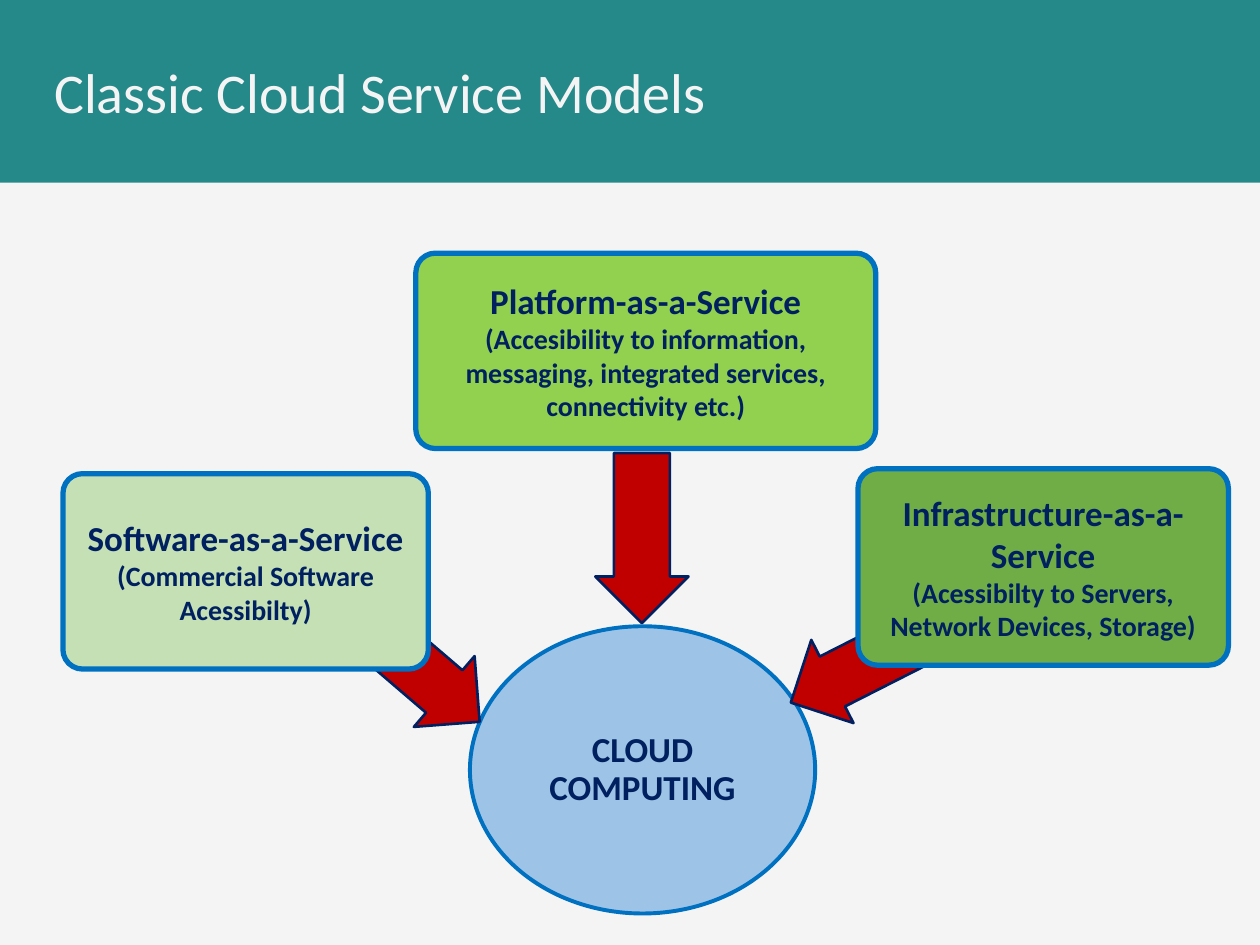
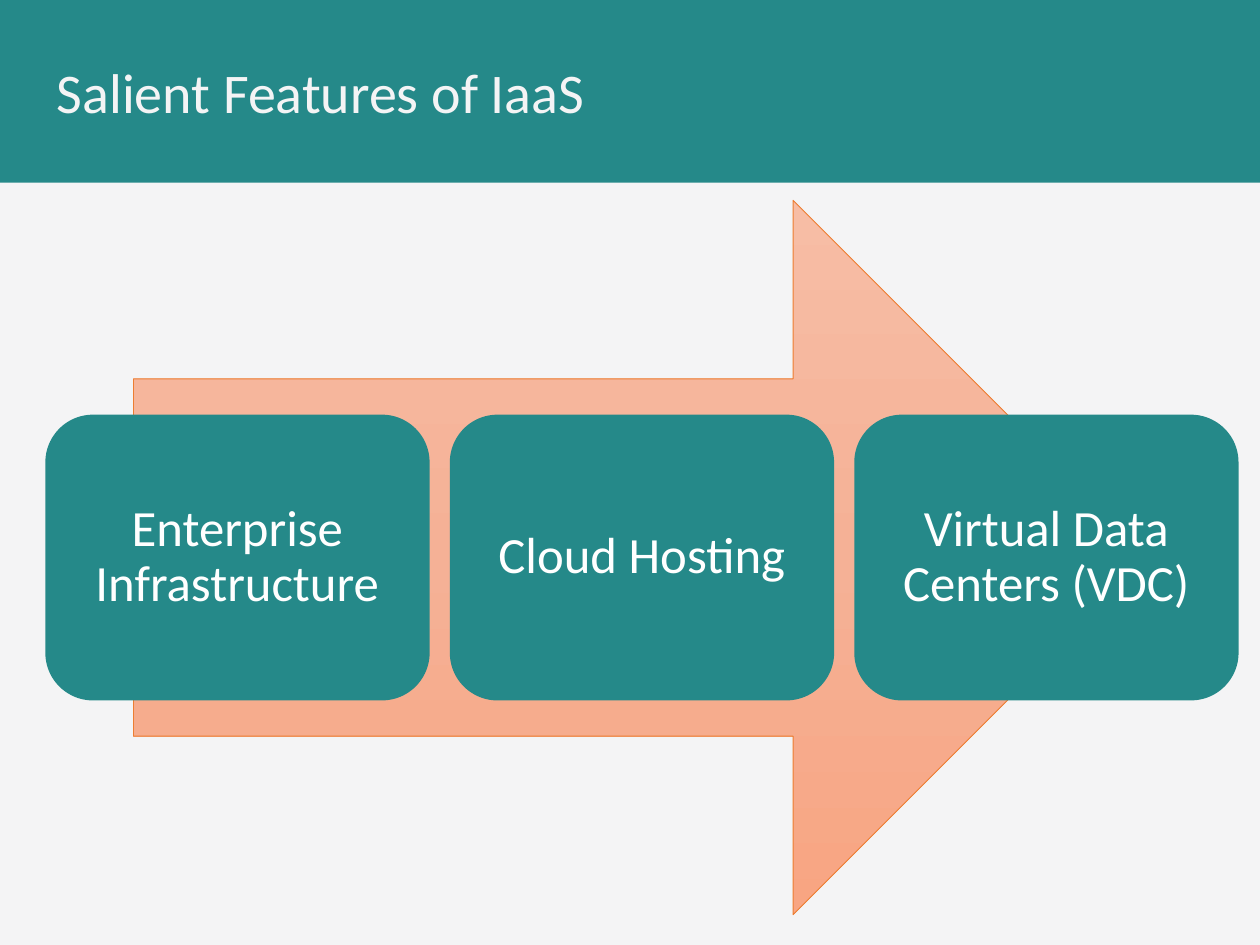
from copy import deepcopy
from dataclasses import dataclass

from pptx import Presentation
from pptx import util as u
from pptx.dml.color import RGBColor
from pptx.enum import shapes, text
from pptx.oxml.ns import qn


@dataclass(frozen=True)
class Theme:
    font: str = "Calibri"
    paper: str = "F4F4F5"
    teal: str = "258989"
    navy: str = "002060"
    blue: str = "0070C0"
    sky: str = "9DC3E6"
    red: str = "C00000"
    white: str = "FFFFFF"
    orange: str = "ED7D31"
    flow: tuple = ((0, "F7BDA5"), (0.5, "F5B196"), (1, "F8A582"))
    title: int = 32
    feature: int = 29
    label: int = 20
    detail: int = 16


THEME = Theme()
SHAPE = shapes.MSO_SHAPE
WIDTH, HEIGHT = u.Inches(10), u.Inches(7.5)
BAND = 19.33

# Areas are left, top, width and height as percentages of the slide.
MODELS_TITLE = "Classic Cloud Service Models"
HUB = ("CLOUD COMPUTING", (37.3, 66.27, 27.4, 30.4))
SERVICES = [
    dict(name="Software-as-a-Service", detail="(Commercial Software Acessibilty)",
         fill="C5E0B4", area=(5, 50.13, 29, 20.67),
         arrow=(25.4, 65.2, 14.4, 9.87), turn=220.6),
    dict(name="Platform-as-a-Service",
         detail="(Accesibility to information, messaging, integrated services, connectivity etc.)",
         fill="92D050", area=(33, 26.8, 36.5, 20.67),
         arrow=(44.2, 52, 13.5, 9.87), turn=270),
    dict(name="Infrastructure-as-a-Service",
         detail="(Acessibilty to Servers, Network Devices, Storage)",
         fill="70AD47", area=(68.1, 49.6, 29.4, 20.8),
         arrow=(61.7, 63.47, 19.7, 9.87), turn=333.1),
]

FEATURES_TITLE = "Salient Features of IaaS"
FEATURES = ["Enterprise Infrastructure", "Cloud Hosting", "Virtual Data Centers (VDC)"]
FLOW_AREA = (10.6, 21.2, 80.7, 75.6)
FEATURE_LEFT, FEATURE_WIDTH, FEATURE_GAP = 3.6, 30.5, 1.6
FEATURE_SHARE = 0.4


def place(area):
    left, top, width, height = area
    return [int(side * share / 100) for side, share in
            ((WIDTH, left), (HEIGHT, top), (WIDTH, width), (HEIGHT, height))]


def rgb(colour):
    return RGBColor.from_string(colour)


def write(frame, lines, colour, inset, bold=False, align=text.PP_ALIGN.CENTER, spacing=1.0):
    layout = dict.fromkeys(
        ("margin_left", "margin_top", "margin_right", "margin_bottom"), u.Inches(inset))
    layout.update(word_wrap=True, vertical_anchor=text.MSO_ANCHOR.MIDDLE)
    for key, value in layout.items():
        setattr(frame, key, value)
    for index, (words, size) in enumerate(lines):
        paragraph = frame.add_paragraph() if index else frame.paragraphs[0]
        paragraph.alignment, paragraph.line_spacing = align, spacing
        run = paragraph.add_run()
        run.text = words
        for key, value in dict(name=THEME.font, size=u.Pt(size), bold=bold).items():
            setattr(run.font, key, value)
        run.font.color.rgb = rgb(colour)


def draw(slide, kind, area, fill=None, line=None, line_width=1.0, adjust=(), turn=0):
    shape = slide.shapes.add_shape(kind, *place(area))
    shape.shadow.inherit = False
    shape.rotation = turn
    for index, value in enumerate(adjust):
        shape.adjustments[index] = value
    if fill:
        shape.fill.solid()
        shape.fill.fore_color.rgb = rgb(fill)
    if line:
        shape.line.color.rgb = rgb(line)
        shape.line.width = u.Pt(line_width)
    else:
        shape.line.fill.background()
    return shape


def add_slide(deck, layout, title, area, align):
    slide = deck.slides.add_slide(layout)
    heading = slide.shapes.title
    heading.left, heading.top, heading.width, heading.height = place(area)
    write(heading.text_frame, [(title, THEME.title)], THEME.paper, 0.1, align=align)
    return slide


def dress_layout(layout, slide):
    layout.background.fill.solid()
    layout.background.fill.fore_color.rgb = rgb(THEME.paper)
    band = draw(slide, SHAPE.RECTANGLE, (0, 0, 100, BAND), THEME.teal).element
    band.nvSpPr.cNvPr.set("id", "99")
    layout.shapes.element.insert(2, band)


def draw_models(slide):
    words, area = HUB
    hub = draw(slide, SHAPE.OVAL, area, THEME.sky, THEME.blue, 2.25)
    write(hub.text_frame, [(words, THEME.label)], THEME.navy, 0.01, bold=True, spacing=0.9)
    for service in SERVICES:
        draw(slide, SHAPE.LEFT_ARROW, service["arrow"], THEME.red, THEME.navy, 1.5,
             (0.6, 0.5), service["turn"])
        card = draw(slide, SHAPE.ROUNDED_RECTANGLE, service["area"], service["fill"],
                    THEME.blue, 3, (0.1,))
        lines = [(service["name"], THEME.label), (service["detail"], THEME.detail)]
        write(card.text_frame, lines, THEME.navy, 0.04, bold=True)


def draw_features(slide):
    flow = draw(slide, SHAPE.RIGHT_ARROW, FLOW_AREA, line=THEME.orange, line_width=0.5)
    flow.fill.gradient()
    flow.fill.gradient_angle = 270
    stops = flow.element.spPr.find(".//" + qn("a:gsLst"))
    stops.insert(1, deepcopy(stops[0]))
    for stop, (position, colour) in zip(flow.fill.gradient_stops, THEME.flow):
        stop.position = position
        stop.color.rgb = rgb(colour)

    flow_top, flow_height = FLOW_AREA[1], FLOW_AREA[3]
    height = flow_height * FEATURE_SHARE
    top = flow_top + (flow_height - height) / 2
    for column, feature in enumerate(FEATURES):
        left = FEATURE_LEFT + column * (FEATURE_WIDTH + FEATURE_GAP)
        card = draw(slide, SHAPE.ROUNDED_RECTANGLE, (left, top, FEATURE_WIDTH, height), THEME.teal)
        write(card.text_frame, [(feature, THEME.feature)], THEME.white, 0.12, spacing=0.9)


def main():
    deck = Presentation()
    deck.slide_width, deck.slide_height = WIDTH, HEIGHT
    layout = deck.slide_layouts.get_by_name("Title Only")
    models = add_slide(deck, layout, MODELS_TITLE, (3.3, 0, 94.2, BAND), text.PP_ALIGN.LEFT)
    dress_layout(layout, models)
    draw_models(models)
    features = add_slide(deck, layout, FEATURES_TITLE, (3.5, 0, 93.1, BAND),
                         text.PP_ALIGN.JUSTIFY)
    draw_features(features)
    deck.save("out.pptx")


if __name__ == "__main__":
    main()
